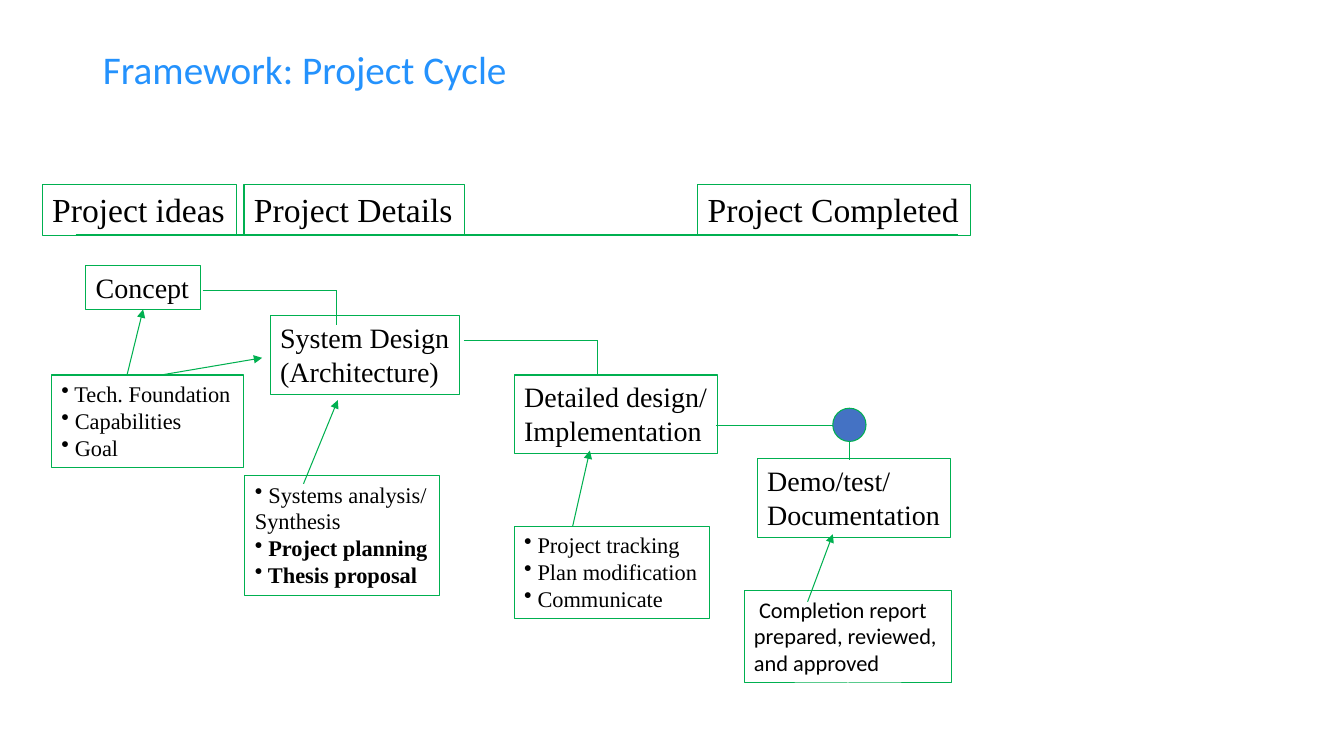
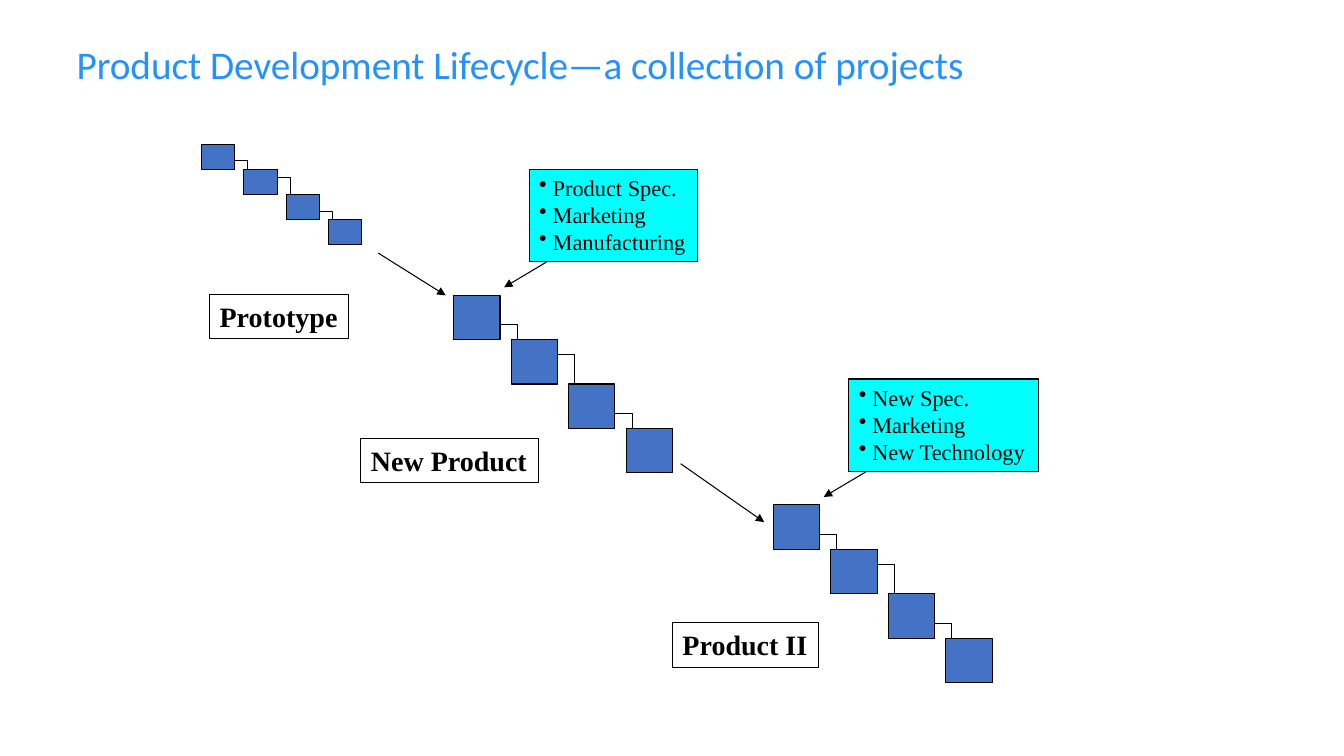
from pptx import Presentation
from pptx.dml.color import RGBColor
from pptx.enum.shapes import MSO_CONNECTOR as Connector, MSO_SHAPE as Shape
from pptx.enum.text import MSO_ANCHOR as Anchor, MSO_AUTO_SIZE as AutoSize, PP_ALIGN as Align
from pptx.oxml.ns import qn
from pptx.util import Inches, Pt
from lxml.etree import SubElement

# Shared look
COLORS = {"title": "2492FD", "green": "00B050", "black": "000000",
          "white": "FFFFFF", "blue": "4472C4", "cyan": "00FFFF"}
SERIF, SANS = "Times New Roman", "Calibri"
MARGIN = 0.05          # above and below the text of a box
LINE_PER_POINT = 0.017  # height of a text line, in inches per point
BULLET = "•"

# Slide 1: project cycle; each box is (left, top, width, lines)
CYCLE_TITLE = ("Framework: Project Cycle", (0.92, 0.4, 11.5, 0.63))
PHASE_TOP = 1.83
PHASES = [(0.42, 1.93, "Project ideas"),
          (2.42, 2.19, "Project Details"),
          (6.92, 2.71, "Project Completed")]
TIMELINE = ((0.75, 2.33), (9.5, 2.33))
STAGES = [(0.85, 2.63, 1.14, ["Concept"]),
          (2.68, 3.13, 1.88, ["System Design", "(Architecture)"]),
          (5.1, 3.72, 2.02, ["Detailed design/", "Implementation"]),
          (7.51, 4.55, 1.92, ["Demo/test/", "Documentation"])]
STAGE_LINKS = [(2.01, 2.88), (4.6, 3.38), (7.1, 4.22)]
LINK_RUN, LINK_DROP = 1.33, 0.34
INPUTS = [(0.51, 3.72, 1.91, ["• Tech. Foundation", "• Capabilities", "• Goal"], SERIF),
          (2.43, 4.72, 1.93, ["• Systems analysis/", "Synthesis",
                              "• Project planning", "• Thesis proposal"], SERIF),
          (5.1, 5.22, 1.94, ["• Project tracking", "• Plan modification",
                             "• Communicate"], SERIF),
          (7.38, 5.86, 2.06, [" Completion report", "prepared, reviewed,",
                              "and approved"], SANS)]
KEY_LINES = ("• Project planning", "• Thesis proposal")
INPUT_ARROWS = [((1.6, 3.72), (2.6, 3.55)),
                ((3.01, 4.8), (3.35, 3.97)),
                ((5.68, 5.22), (5.85, 4.47)),
                ((8.01, 5.97), (8.26, 5.3))]
CONCEPT_ARROW = ((1.26, 3.72), (1.43, 3.07))
MILESTONE = (8.26, 4.05, 0.33, 0.33)

# Slide 2: product lifecycle
LIFECYCLE_TITLE = ("Product Development Lifecycle—a collection of projects",
                   (0.66, 0.25, 11.5, 0.82))
STAIRCASES = [
    {"origin": (2, 1.43), "step": (0.42, 0.25), "width": 0.33,
     "label": (2.08, 2.92, 1.38, ["Prototype"])},
    {"origin": (4.5, 2.93), "step": (0.57, 0.44), "width": 0.46,
     "label": (3.58, 4.35, 1.76, ["New Product"]),
     "drivers": (1.67, ["• Product Spec.", "• Marketing", "• Manufacturing"])},
    {"origin": (7.67, 5.01), "step": (0.57, 0.44), "width": 0.46,
     "label": (6.67, 6.18, 1.45, ["Product II"]),
     "drivers": (1.88, ["• New Spec.", "• Marketing", "• New Technology"])},
]
STEPS = 4
DRIVER_OFFSET = (0.75, -1.25)
DRIVER_ARROW = ((0.92, -0.33), (0.5, -0.08))
NEXT_PROJECT_ARROWS = [((3.75, 2.51), (4.42, 2.93)), ((6.75, 4.6), (7.58, 5.18))]


def color(name):
    return RGBColor.from_string(COLORS[name])


def inches(values):
    return [Inches(value) for value in values]


def format_text(frame, lines, size=20, font=SERIF, ink="black", bold=False, bold_lines=()):
    """Write one paragraph per line; a leading bullet becomes a list marker."""
    for index, line in enumerate(lines):
        paragraph = frame.paragraphs[0] if index == 0 else frame.add_paragraph()
        paragraph.alignment = Align.LEFT
        if line.startswith(BULLET):
            SubElement(paragraph._p.get_or_add_pPr(), qn("a:buChar"), char=BULLET)
        run = paragraph.add_run()
        run.text = line.removeprefix(BULLET)
        run.font.size, run.font.name = Pt(size), font
        run.font.bold = bold or line in bold_lines
        run.font.color.rgb = color(ink)


def add_shape(slide, box, fill=None, line="black", kind=Shape.RECTANGLE):
    shape = slide.shapes.add_shape(kind, *inches(box))
    shape.shadow.inherit = False
    if fill:
        shape.fill.solid()
        shape.fill.fore_color.rgb = color(fill)
    else:
        shape.fill.background()
    shape.line.color.rgb = color(line)
    shape.line.width = Pt(0.75)
    return shape


def add_text_box(slide, left, top, width, lines, size=20, fill=None, line="black", **text_format):
    height = 2 * MARGIN + len(lines) * size * LINE_PER_POINT
    shape = add_shape(slide, (left, top, width, height), fill, line)
    frame = shape.text_frame
    frame.word_wrap = False
    frame.auto_size = AutoSize.SHAPE_TO_FIT_TEXT
    frame.vertical_anchor = Anchor.TOP
    format_text(frame, lines, size, **text_format)
    return shape


def add_line(slide, start, end, line="black", weight=0.75, arrow=False, kind=Connector.STRAIGHT):
    connector = slide.shapes.add_connector(kind, *inches((*start, *end)))
    connector.line.color.rgb = color(line)
    connector.line.width = Pt(weight)
    if arrow:
        SubElement(connector.line._get_or_add_ln(), qn("a:tailEnd"), type="triangle")
    SubElement(connector._element.spPr, qn("a:effectLst"))
    return connector


def add_titled_slide(presentation, title, box):
    slide = presentation.slides.add_slide(presentation.slide_layouts[5])
    shape = slide.shapes.title
    shape.left, shape.top, shape.width, shape.height = inches(box)
    shape.text_frame.vertical_anchor = Anchor.MIDDLE
    format_text(shape.text_frame, [title], size=28, font=SANS, ink="title")
    shape.text_frame.paragraphs[0].line_spacing = 0.9
    return slide


def add_staircase(slide, origin, step, width):
    """Draw boxes down a diagonal, with elbows leaving alternately low and high."""
    step_x, height = step
    corners = [(origin[0] + i * step_x, origin[1] + i * height) for i in range(STEPS)]
    for index, ((left, top), (next_left, next_top)) in enumerate(zip(corners, corners[1:])):
        leave, arrive = (1 / 3, 0) if index % 2 else (2 / 3, 1 / 3)
        add_line(slide, (left + width, top + leave * height),
                 (next_left + width / 2, next_top + arrive * height), kind=Connector.ELBOW)
    for corner in corners:
        add_shape(slide, (*corner, width, height), fill="blue")


def build_cycle(presentation):
    slide = add_titled_slide(presentation, *CYCLE_TITLE)
    # Phases on the timeline
    for left, width, name in PHASES:
        add_text_box(slide, left, PHASE_TOP, width, [name], size=24, line="green")
    add_line(slide, *TIMELINE, line="green", weight=1.5)
    # Stages, linked right and then down
    stages = [add_text_box(slide, *stage, line="green") for stage in STAGES]
    for left, top in STAGE_LINKS:
        corner = (left + LINK_RUN, top)
        add_line(slide, (left, top), corner, line="green")
        add_line(slide, corner, (corner[0], top + LINK_DROP), line="green")
    add_shape(slide, MILESTONE, fill="blue", line="green", kind=Shape.OVAL)
    # Inputs to the stages
    for *box, font in INPUTS:
        add_text_box(slide, *box, size=16, line="green", font=font, bold_lines=KEY_LINES)
    for start, end in INPUT_ARROWS:
        add_line(slide, start, end, line="green", arrow=True)
    add_line(slide, *CONCEPT_ARROW, line="green", arrow=True).end_connect(stages[0], 2)


def build_lifecycle(presentation):
    slide = add_titled_slide(presentation, *LIFECYCLE_TITLE)
    for project in STAIRCASES:
        left, top = origin = project["origin"]
        add_staircase(slide, origin, project["step"], project["width"])
        add_text_box(slide, *project["label"], fill="white", bold=True)
        # What drives the next project
        if "drivers" in project:
            add_text_box(slide, left + DRIVER_OFFSET[0], top + DRIVER_OFFSET[1],
                         *project["drivers"], size=16, fill="cyan")
            start, end = [(left + x, top + y) for x, y in DRIVER_ARROW]
            add_line(slide, start, end, arrow=True)
    for start, end in NEXT_PROJECT_ARROWS:
        add_line(slide, start, end, arrow=True)


def main():
    presentation = Presentation()
    presentation.slide_width, presentation.slide_height = inches((13.33, 7.5))
    build_cycle(presentation)
    build_lifecycle(presentation)
    presentation.save("out.pptx")


if __name__ == "__main__":
    main()
